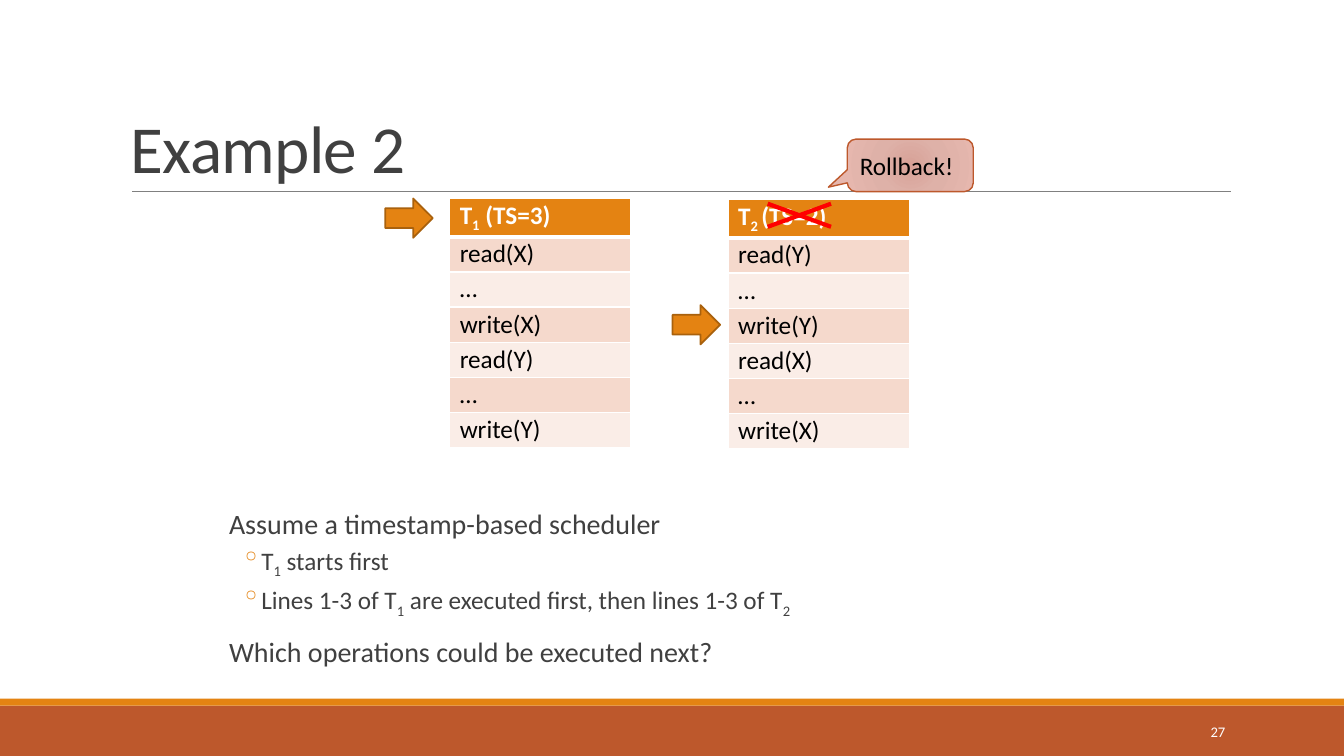
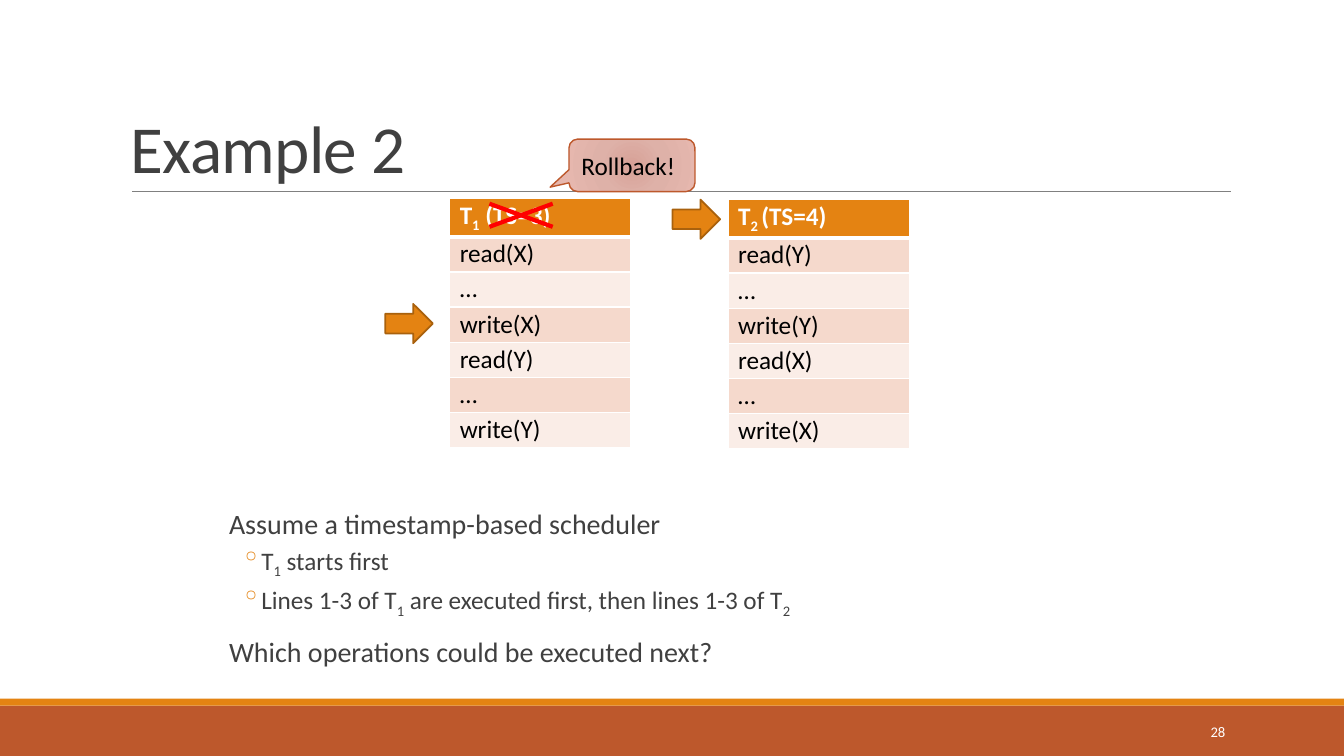
from dataclasses import dataclass

from lxml import etree
from pptx import Presentation
from pptx.dml.color import RGBColor
from pptx.enum.shapes import MSO_CONNECTOR as Conn, MSO_SHAPE as Shape
from pptx.enum.text import MSO_ANCHOR as Anchor, PP_ALIGN as Align
from pptx.oxml import parse_xml
from pptx.oxml.ns import nsdecls, qn
from pptx.util import Emu, Inches, Pt

# Grid of 24 columns by 20 rows over the slide
SLIDE_W, SLIDE_H = Inches(13.333), Inches(7.5)
COL, ROW = SLIDE_W / 24, SLIDE_H / 20
TABLE_COLS, TABLE_ROW = 3.24, 0.93
FONT = "Calibri"
COLORS = {
    "orange": "E48312", "rust": "BD582C", "arrow_edge": "A9610D",
    "text": "404040", "black": "000000", "white": "FFFFFF", "rule": "808080",
    "band_dark": "F5D9CC", "band_light": "FAEDE7", "cross": "FF0000",
}
CALLOUT_STOPS = ((0, "D7A197"), (45, "DEB1A8"), (100, "E6B7AE"))


@dataclass(frozen=True)
class Box:
    """Place and size in grid columns and rows."""
    x: float
    y: float
    w: float
    h: float

    def emu(self) -> tuple[Emu, Emu, Emu, Emu]:
        return (Emu(int(self.x * COL)), Emu(int(self.y * ROW)),
                Emu(int(self.w * COL)), Emu(int(self.h * ROW)))


@dataclass(frozen=True)
class Transaction:
    name: str
    x: float
    y: float
    arrow_x: float
    steps: tuple[str, ...]


@dataclass(frozen=True)
class Moment:
    """One slide: timestamps, arrow row per table, and who rolls back."""
    number: int
    stamps: tuple[int, int]
    arrow_rows: tuple[int, int]
    rolled_back: int


@dataclass(frozen=True)
class Level:
    size: float
    margin: float
    before: float
    after: float
    bullet: str = ""


# Underscores enclose subscripts
TRANSACTIONS = (
    Transaction("T_1_ ", 8.03, 5.25, 6.88,
                ("read(X)", "…", "write(X)", "read(Y)", "…", "write(Y)")),
    Transaction("T_2 _", 13, 5.28, 12.01,
                ("read(Y)", "…", "write(Y)", "read(X)", "…", "write(X)")),
)
MOMENTS = (Moment(27, (3, 2), (0, 3), 1), Moment(28, (3, 4), (3, 0), 0))
MAIN = Level(20, 0.1, 12, 2)
SUB = Level(18, 0.42, 2, 4, "◦")
BODY = (
    (MAIN, "Assume a timestamp-based scheduler"),
    (SUB, "T_1_ starts first"),
    (SUB, "Lines 1-3 of T_1_ are executed first, then lines 1-3 of T_2_"),
    (MAIN, "Which operations could be executed next?"),
)


def rgb(name: str) -> RGBColor:
    return RGBColor.from_string(COLORS[name])


def write(p, text: str, size: float, color: str, bold: bool = False) -> None:
    for i, part in enumerate(text.split("_")):
        if not part:
            continue
        r = p.add_run()
        r.text = part
        r.font.name, r.font.size, r.font.bold = FONT, Pt(size), bold
        r.font.color.rgb = rgb(color)
        if i % 2:
            r.font._element.set("baseline", "-25000")


def add_text(slide, box: Box, anchor=Anchor.TOP):
    tf = slide.shapes.add_textbox(*box.emu()).text_frame
    tf.word_wrap, tf.vertical_anchor = True, anchor
    return tf


def add_shape(slide, kind, box: Box, fill: str, edge: str = "", width: float = 1):
    sp = slide.shapes.add_shape(kind, *box.emu())
    sp.shadow.inherit = False
    sp.fill.solid()
    sp.fill.fore_color.rgb = rgb(fill)
    if edge:
        sp.line.color.rgb, sp.line.width = rgb(edge), Pt(width)
    else:
        sp.line.fill.background()
    return sp


def add_line(slide, box: Box, color: str, width: float, rising: bool = False) -> None:
    x, y, w, h = box.emu()
    y1, y2 = (y + h, y) if rising else (y, y + h)
    line = slide.shapes.add_connector(Conn.STRAIGHT, x, y1, x + w, y2)
    line.line.color.rgb, line.line.width = rgb(color), Pt(width)
    etree.SubElement(line._element.spPr, qn("a:effectLst"))


def add_frame(slide, number: int) -> None:
    # Bands, title with its rule, slide number
    add_shape(slide, Shape.RECTANGLE, Box(0, 18.67, 24, 1.33), "rust")
    add_shape(slide, Shape.RECTANGLE, Box(0, 18.48, 24, 0.19), "orange")
    add_line(slide, Box(2.36, 5.07, 19.62, 0), "rule", 0.5)
    p = add_text(slide, Box(2.16, 0.83, 19.8, 4.24), Anchor.BOTTOM).paragraphs[0]
    p.line_spacing = 0.85
    write(p, "Example 2", 48, "text")
    p.runs[0].font._element.set("spc", "-50")
    p = add_text(slide, Box(19.49, 18.83, 2.57, 1.07), Anchor.MIDDLE).paragraphs[0]
    p.alignment = Align.RIGHT
    write(p, str(number), 10.5, "white")


def add_body(slide) -> None:
    tf = add_text(slide, Box(3.91, 13.36, 16.2, 5.44))
    tf.margin_left = tf.margin_right = 0
    for i, (level, text) in enumerate(BODY):
        p = tf.add_paragraph() if i else tf.paragraphs[0]
        p.line_spacing = 0.9
        p.space_before, p.space_after = Pt(level.before if i else 0), Pt(level.after)
        pPr = p._p.get_or_add_pPr()
        pPr.set("marL", str(Inches(level.margin)))
        if level.bullet:
            p.level = 1
            pPr.set("indent", str(Inches(-0.2)))
            color = etree.SubElement(pPr, qn("a:buClr"))
            etree.SubElement(color, qn("a:srgbClr"), val=COLORS["orange"])
            etree.SubElement(pPr, qn("a:buChar"), char=level.bullet)
        write(p, text, level.size, "text")


def set_borders(cell, bottom: float, top: float) -> None:
    tcPr = cell._tc.get_or_add_tcPr()
    for i, (side, width) in enumerate((("L", 1), ("R", 1), ("T", top), ("B", bottom))):
        tcPr.insert(i, parse_xml(
            f'<a:ln{side} {nsdecls("a")} w="{Pt(width)}"><a:solidFill>'
            f'<a:srgbClr val="{COLORS["white"]}"/></a:solidFill></a:ln{side}>'))


def add_transaction(slide, t: Transaction, stamp: int) -> None:
    texts = (f"{t.name}(TS={stamp})", *t.steps)
    box = Box(t.x, t.y, TABLE_COLS, TABLE_ROW * len(texts))
    table = slide.shapes.add_table(len(texts), 1, *box.emu()).table
    table.first_row = table.horz_banding = False
    for i, text in enumerate(texts):
        head = i == 0
        table.rows[i].height = Emu(int(TABLE_ROW * ROW))
        cell = table.cell(i, 0)
        cell.margin_left = cell.margin_right = Inches(0.1)
        cell.margin_top = cell.margin_bottom = Inches(0.02)
        cell.fill.solid()
        cell.fill.fore_color.rgb = rgb(
            "orange" if head else "band_dark" if i % 2 else "band_light")
        set_borders(cell, bottom=3 if head else 1, top=3 if i == 1 else 1)
        write(cell.text_frame.paragraphs[0], text, 18,
              "white" if head else "black", head)


def add_arrow(slide, t: Transaction, row: int) -> None:
    box = Box(t.arrow_x, t.y + row * TABLE_ROW, 0.85, 1.04)
    add_shape(slide, Shape.RIGHT_ARROW, box, "orange", "arrow_edge", 1.25)


def add_rollback(slide, t: Transaction) -> None:
    # Callout with a radial gradient
    sp = add_shape(slide, Shape.ROUNDED_RECTANGULAR_CALLOUT,
                   Box(t.x + 2.13, 3.68, 2.25, 1.39), "white", "rust")
    for i, value in enumerate((-0.65, 0.416, 0.167)):
        sp.adjustments[i] = value
    stops = "".join(f'<a:gs pos="{pos * 1000}"><a:srgbClr val="{color}"/></a:gs>'
                    for pos, color in CALLOUT_STOPS)
    spPr = sp._element.spPr
    spPr.replace(spPr.find(qn("a:solidFill")), parse_xml(
        f'<a:gradFill {nsdecls("a")}><a:gsLst>{stops}</a:gsLst><a:path path="circle">'
        '<a:fillToRect l="100000" t="100000" r="100000" b="100000"/>'
        '</a:path></a:gradFill>'))
    tf = sp.text_frame
    tf.word_wrap, tf.vertical_anchor = True, Anchor.MIDDLE
    p = tf.paragraphs[0]
    p.alignment = Align.LEFT
    write(p, "Rollback!", 18, "black")
    # Cross over the old timestamp
    for rising in (True, False):
        add_line(slide, Box(t.x + 0.71, 5.39, 1.13, 0.61), "cross", 3, rising)


def main() -> None:
    prs = Presentation()
    prs.slide_width, prs.slide_height = SLIDE_W, SLIDE_H
    for m in MOMENTS:
        slide = prs.slides.add_slide(prs.slide_layouts[6])
        add_frame(slide, m.number)
        add_body(slide)
        for t, stamp in zip(TRANSACTIONS, m.stamps):
            add_transaction(slide, t, stamp)
        for t, row in zip(TRANSACTIONS, m.arrow_rows):
            add_arrow(slide, t, row)
        add_rollback(slide, TRANSACTIONS[m.rolled_back])
    prs.save("out.pptx")


if __name__ == "__main__":
    main()
